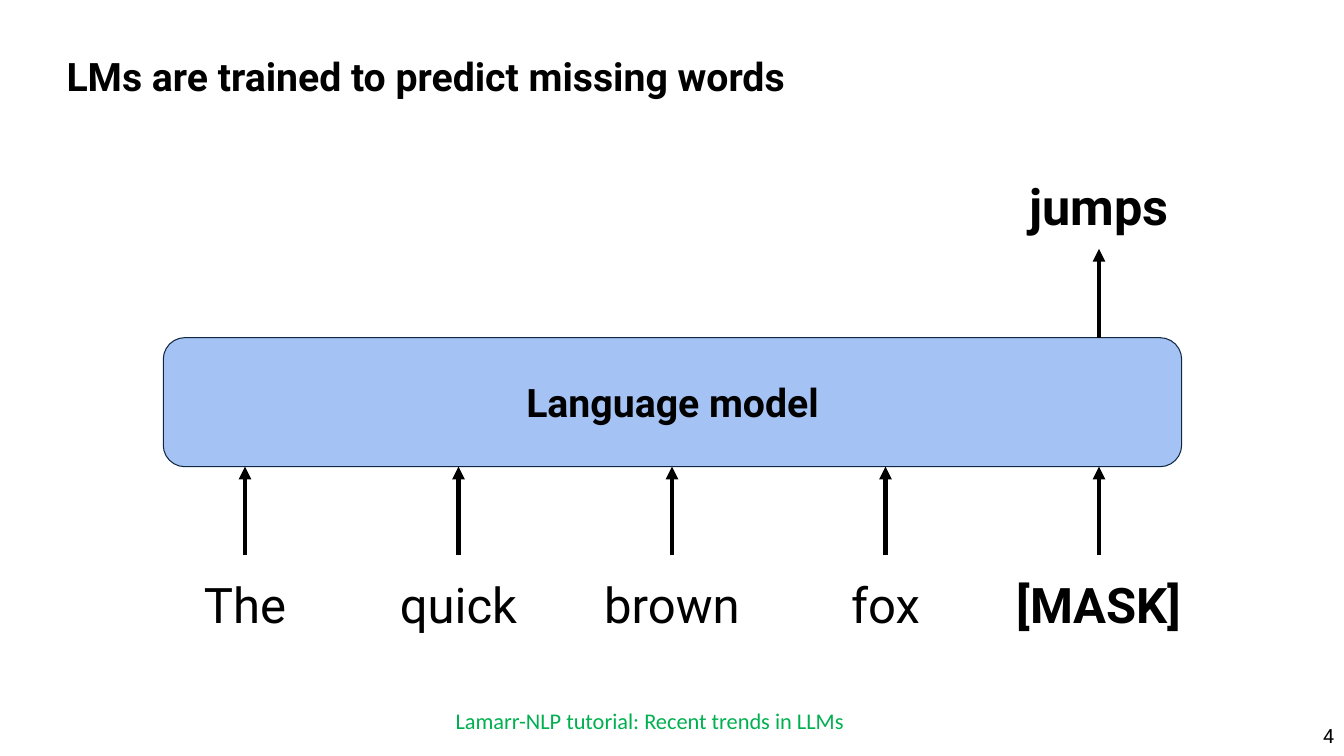
from lxml import etree
from pptx import Presentation
from pptx import util as u
from pptx.dml.color import RGBColor
from pptx.enum import shapes, text
from pptx.oxml.ns import qn


def color(value):
    return RGBColor.from_string(value)


class SlideBuilder:
    font = "Roboto"
    ink = "000000"
    box_fill = "A4C2F4"
    box_line = "0E2841"

    def __init__(self, slide):
        self.s = slide

    def set_text(self, sp, content, size, bold=False, align=text.PP_ALIGN.LEFT,
                 anchor=text.MSO_ANCHOR.MIDDLE, font=None, ink=None, pad=0.05):
        tf = sp.text_frame
        tf.word_wrap = True
        tf.auto_size = text.MSO_AUTO_SIZE.NONE
        tf.vertical_anchor = anchor
        tf.margin_left = tf.margin_right = u.Inches(0.1)
        tf.margin_top = tf.margin_bottom = u.Inches(pad)
        p = tf.paragraphs[0]
        p.alignment = align
        r = p.add_run()
        r.text = content
        r.font.name = font or self.font
        r.font.size = u.Pt(size)
        r.font.bold = bold
        r.font.color.rgb = color(ink or self.ink)

    def title(self, content, x, y, w, h):
        sp = self.s.shapes.title
        sp.left, sp.top, sp.width, sp.height = map(u.Inches, (x, y, w, h))
        self.set_text(sp, content, 28, bold=True)

    def label(self, content, x, y, w, h, size, **style):
        sp = self.s.shapes.add_textbox(*map(u.Inches, (x, y, w, h)))
        self.set_text(sp, content, size, **style)

    def word(self, content, center, y, w, size, bold=False):
        self.label(content, center - w / 2, y, w, 0.79, size, bold=bold,
                   align=text.PP_ALIGN.CENTER, anchor=text.MSO_ANCHOR.TOP)

    def box(self, content, x, y, w, h):
        sp = self.s.shapes.add_shape(shapes.MSO_SHAPE.ROUNDED_RECTANGLE,
                                     *map(u.Inches, (x, y, w, h)))
        sp.shadow.inherit = False
        sp.adjustments[0] = 0.167
        sp.fill.solid()
        sp.fill.fore_color.rgb = color(self.box_fill)
        sp.line.color.rgb = color(self.box_line)
        sp.line.width = u.Pt(0.75)
        self.set_text(sp, content, 28, bold=True, align=text.PP_ALIGN.CENTER, pad=0.1)

    def up_arrow(self, x, tip, length=0.88):
        sp = self.s.shapes.add_connector(
            shapes.MSO_CONNECTOR.STRAIGHT,
            *map(u.Inches, (x, tip + length, x, tip)))
        sp.line.color.rgb = color(self.ink)
        sp.line.width = u.Pt(3)
        props = sp._element.spPr
        etree.SubElement(props.find(qn("a:ln")), qn("a:tailEnd"), type="triangle")
        etree.SubElement(props, qn("a:effectLst"))


def main():
    prs = Presentation()
    prs.slide_width = u.Inches(13.33)
    prs.slide_height = u.Inches(7.5)
    b = SlideBuilder(prs.slides.add_slide(prs.slide_layouts[5]))

    b.title("LMs are trained to predict missing words", 0.56, 0.36, 12.21, 0.79)
    b.label("4", 12.37, 7.1, 0.96, 0.4, 14, align=text.PP_ALIGN.RIGHT)

    model_top, model_height = 3.35, 1.28
    b.box("Language model", 1.62, model_top, 10.1, model_height)

    first, last = 2.43, 10.9
    words = ["The", "quick", "brown", "fox", "[MASK]"]
    step = (last - first) / (len(words) - 1)
    for i, word in enumerate(words):
        center = first + i * step
        masked = word == "[MASK]"
        b.up_arrow(center, model_top + model_height)
        b.word(word, center, 5.65, 2.31 if masked else 1.69, 35, bold=masked)

    b.up_arrow(last, 2.47)
    b.word("jumps", last, 1.69, 1.69, 36, bold=True)
    b.label("Lamarr-NLP tutorial: Recent trends in LLMs", 4.42, 6.95, 4.89, 0.4, 16,
            font="Calibri", ink="00B050")

    prs.save("out.pptx")


if __name__ == "__main__":
    main()
